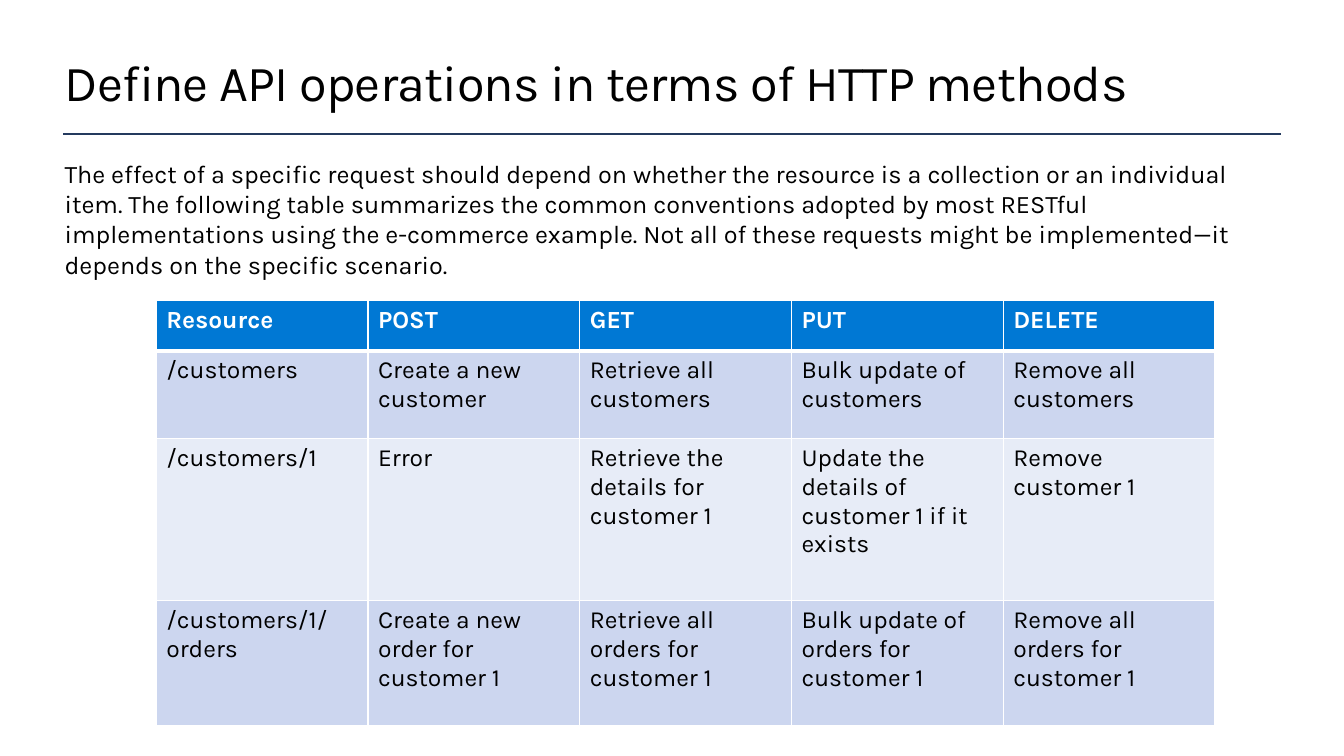
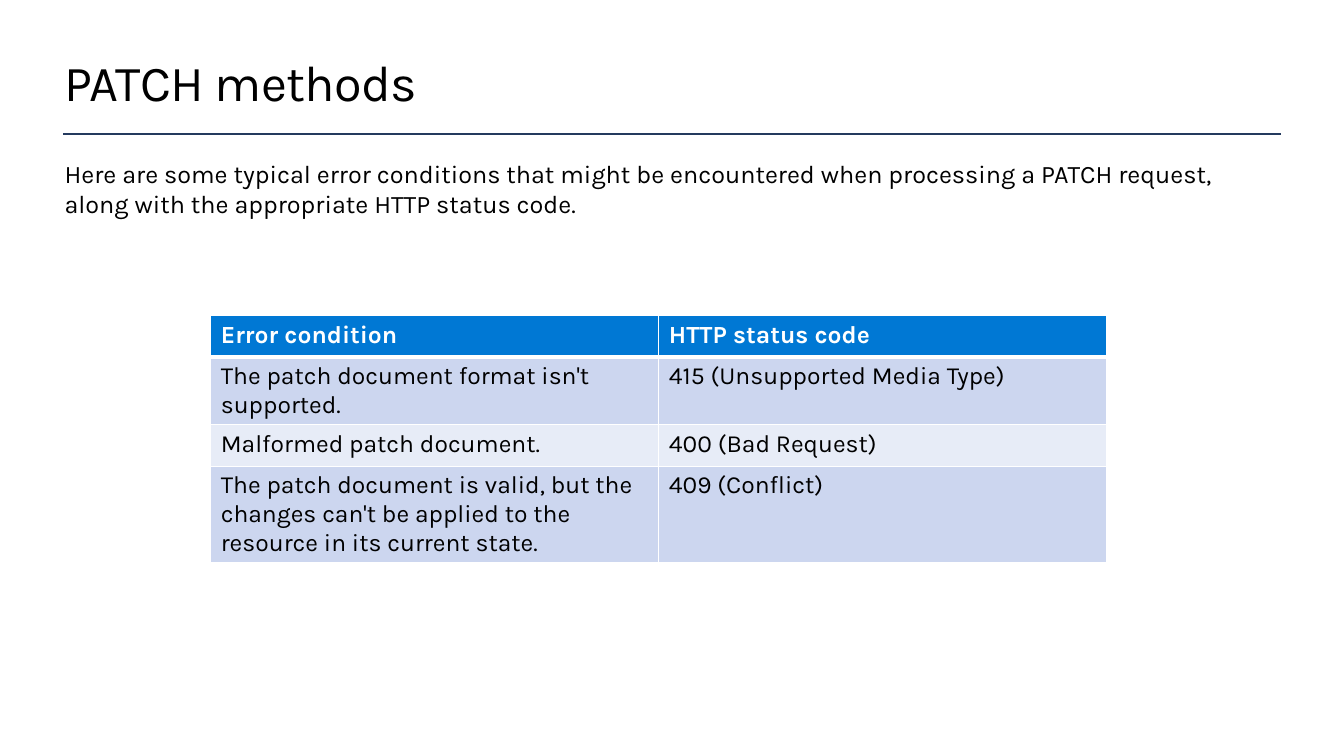
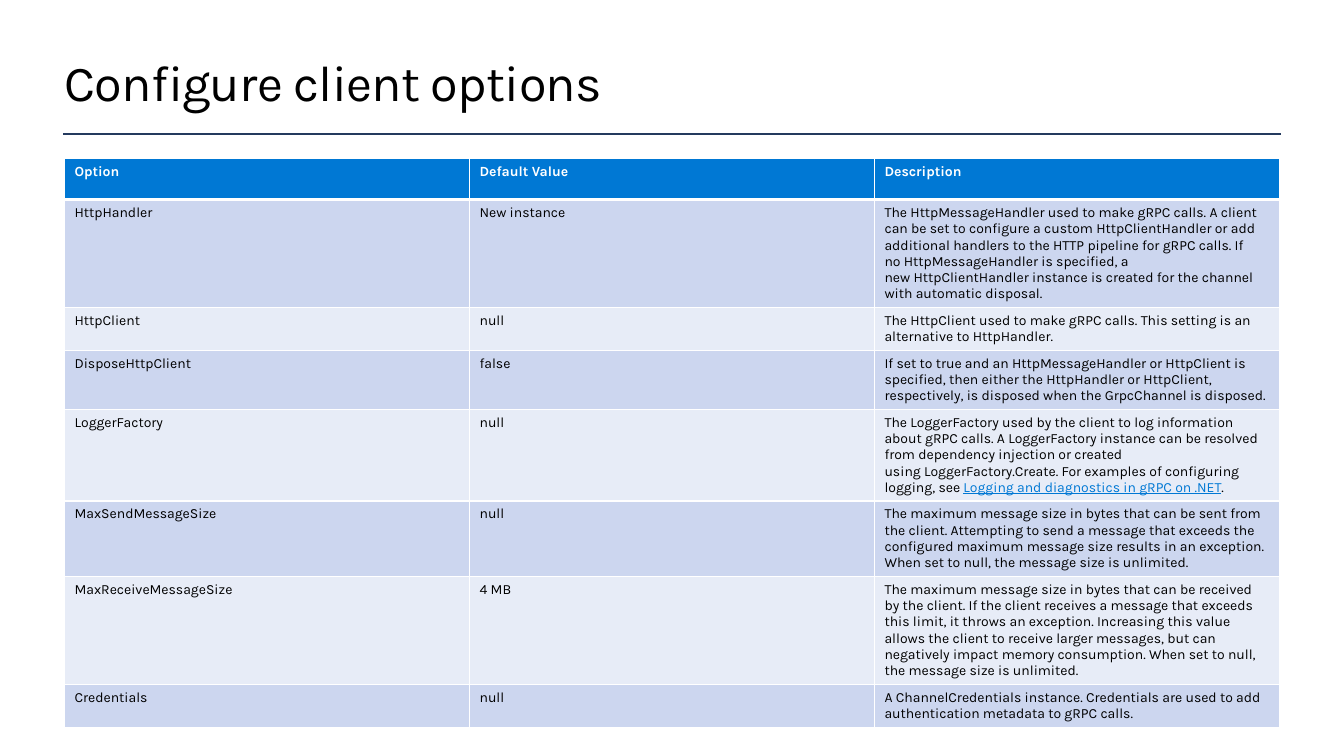
from dataclasses import dataclass

from lxml import etree
from pptx import Presentation
from pptx.dml.color import RGBColor
from pptx.enum.shapes import MSO_CONNECTOR
from pptx.enum.text import MSO_ANCHOR, MSO_AUTO_SIZE, PP_ALIGN
from pptx.oxml.ns import qn
from pptx.util import Inches, Pt

STRAIGHT = MSO_CONNECTOR.STRAIGHT
MIDDLE, TOP = MSO_ANCHOR.MIDDLE, MSO_ANCHOR.TOP
NO_AUTOFIT = MSO_AUTO_SIZE.NONE
LEFT = PP_ALIGN.LEFT
TITLE_ONLY = 5
TIE, NO_BREAK_SPACE = "~", chr(160)


@dataclass(frozen=True)
class Theme:
    font: str = "Karla"
    ink: str = "000000"
    paper: str = "FFFFFF"
    rule: str = "243A5E"
    accent: str = "0078D4"
    bands: tuple = ("CCD6EF", "E7ECF7")
    title_size: float = 36
    title_spacing: float = -0.5
    body_size: float = 18
    table_size: float = 17.6
    small_table_size: float = 10
    rule_width: float = 2
    grid_width: float = 1
    header_line_width: float = 3
    margin: float = 0.64
    content_width: float = 12.05
    content_top: float = 1.57


class Link(str):
    """Span of cell text in the link style."""


class SlideBuilder:
    def __init__(self, theme):
        self.theme = theme
        self.deck = Presentation()
        self.deck.slide_width = Inches(13.33)
        self.deck.slide_height = Inches(7.5)
        self.page = None

    def style(self, font, size, color, bold=False):
        font.name = self.theme.font
        font.size = Pt(size)
        font.bold = bold
        font.color.rgb = RGBColor.from_string(color)

    def frame(self, box, anchor):
        """Make the text frame of a box wrap, without insets or autofit."""
        frame = box.text_frame
        frame.margin_left = frame.margin_right = 0
        frame.margin_top = frame.margin_bottom = 0
        frame.word_wrap = True
        frame.auto_size = NO_AUTOFIT
        frame.vertical_anchor = anchor
        return frame

    def start(self, title):
        """Add a page with its title and the rule below it."""
        theme = self.theme
        self.page = self.deck.slides.add_slide(self.deck.slide_layouts[TITLE_ONLY])
        box = self.page.shapes.title
        box.left, box.top = Inches(theme.margin), Inches(0.5)
        box.width, box.height = Inches(theme.content_width), Inches(0.61)
        para = self.frame(box, MIDDLE).paragraphs[0]
        para.alignment = LEFT
        span = para.add_run()
        span.text = title
        span._r.get_or_add_rPr().set("spc", str(int(theme.title_spacing * 100)))
        self.style(para.font, theme.title_size, theme.ink)
        self.rule(1.33)

    def rule(self, top):
        """Draw a square-capped line across the content width."""
        theme = self.theme
        line = self.page.shapes.add_connector(
            STRAIGHT, Inches(theme.margin), Inches(top),
            Inches(theme.margin + theme.content_width), Inches(top))
        line.line.color.rgb = RGBColor.from_string(theme.rule)
        line.line.width = Pt(theme.rule_width)
        line.line._get_or_add_ln().set("cap", "sq")
        etree.SubElement(line._element.spPr, qn("a:effectLst"))

    def body(self, text, height):
        theme = self.theme
        box = self.page.shapes.add_textbox(
            Inches(theme.margin), Inches(theme.content_top),
            Inches(theme.content_width), Inches(height))
        para = self.frame(box, TOP).paragraphs[0]
        para.text = text
        self.style(para.font, theme.body_size, theme.ink)

    def table(self, rows, left, top, width, heights, size):
        columns = len(rows[0])
        table = self.page.shapes.add_table(
            len(rows), columns, Inches(left), Inches(top),
            Inches(width), Inches(sum(heights))).table
        for column in table.columns:
            column.width = Inches(width / columns)
        for index, (row, height) in enumerate(zip(rows, heights)):
            table.rows[index].height = Inches(height)
            for cell, content in zip(table.rows[index].cells, row):
                self.cell(cell, content, index, size)

    def cell(self, cell, content, row, size):
        """Fill one cell; a tilde in its text stands for a no-break space."""
        theme = self.theme
        is_header = row == 0
        thin, thick = theme.grid_width, theme.header_line_width
        self.borders(cell, {"L": thin, "R": thin,
                            "T": thick if row == 1 else thin,
                            "B": thick if is_header else thin})
        fill = theme.accent if is_header else theme.bands[(row - 1) % 2]
        cell.fill.solid()
        cell.fill.fore_color.rgb = RGBColor.from_string(fill)
        para = cell.text_frame.paragraphs[0]
        for text in [content] if isinstance(content, str) else content:
            span = para.add_run()
            span.text = text.replace(TIE, NO_BREAK_SPACE)
            if isinstance(text, Link):
                span.font.underline = True
                span.font.color.rgb = RGBColor.from_string(theme.accent)
        self.style(para.font, size, theme.paper if is_header else theme.ink, is_header)

    def borders(self, cell, widths):
        properties = cell._tc.get_or_add_tcPr()
        for side, width in widths.items():
            line = etree.SubElement(properties, qn(f"a:ln{side}"), w=str(Pt(width)))
            fill = etree.SubElement(line, qn("a:solidFill"))
            etree.SubElement(fill, qn("a:srgbClr"), val=self.theme.paper)


OPERATIONS = [
    ["Resource", "POST", "GET", "PUT", "DELETE"],
    ["/customers", "Create a new customer", "Retrieve all customers",
     "Bulk update of customers", "Remove all customers"],
    ["/customers/1", "Error", "Retrieve the details for customer 1",
     "Update the details of customer 1 if it exists", "Remove customer 1"],
    ["/customers/1/orders", "Create a new order for customer 1",
     "Retrieve all orders for customer 1", "Bulk update of orders for customer 1",
     "Remove all orders for customer 1"],
]

PATCH_ERRORS = [
    ["Error condition", "HTTP status code"],
    ["The patch document format isn't supported.", "415 (Unsupported Media Type)"],
    ["Malformed patch document.", "400 (Bad Request)"],
    ["The patch document is valid, but the changes can't be applied to the resource "
     "in its current state.", "409 (Conflict)"],
]

CLIENT_OPTIONS = [
    ["Option", "Default Value", "Description"],
    ["HttpHandler", "New instance",
     "The~HttpMessageHandler~used to make gRPC calls. A client can be set to configure "
     "a custom~HttpClientHandler~or add additional handlers to the HTTP pipeline for "
     "gRPC calls. If no~HttpMessageHandler~is specified, a new~HttpClientHandler~instance "
     "is created for the channel with automatic disposal."],
    ["HttpClient", "null",
     "The~HttpClient~used to make gRPC calls. This setting is an alternative to~"
     "HttpHandler."],
    ["DisposeHttpClient", "false",
     "If set to~true~and an~HttpMessageHandler~or~HttpClient~is specified, then either "
     "the~HttpHandler~or~HttpClient, respectively, is disposed when the~GrpcChannel~is "
     "disposed."],
    ["LoggerFactory", "null",
     ["The~LoggerFactory~used by the client to log information about gRPC calls. "
      "A~LoggerFactory~instance can be resolved from dependency injection or created "
      "using~LoggerFactory.Create. For examples of configuring logging, see~",
      Link("Logging and diagnostics in gRPC on .NET"), "."]],
    ["MaxSendMessageSize", "null",
     "The maximum message size in bytes that can be sent from the client. Attempting to "
     "send a message that exceeds the configured maximum message size results in an "
     "exception. When set to~null, the message size is unlimited."],
    ["MaxReceiveMessageSize", "4 MB",
     "The maximum message size in bytes that can be received by the client. If the client "
     "receives a message that exceeds this limit, it throws an exception. Increasing this "
     "value allows the client to receive larger messages, but can negatively impact memory "
     "consumption. When set to~null, the message size is unlimited."],
    ["Credentials", "null",
     "A~ChannelCredentials~instance. Credentials are used to add authentication metadata "
     "to gRPC calls."],
]


def main():
    theme = Theme()
    builder = SlideBuilder(theme)
    row_height = 0.41

    builder.start("Define API operations in terms of HTTP methods")
    builder.body(
        "The effect of a specific request should depend on whether the resource is a "
        "collection or an individual item. The following table summarizes the common "
        "conventions adopted by most RESTful implementations using the e-commerce example. "
        "Not all of these requests might be implemented—it depends on the specific "
        "scenario.", 1.21)
    builder.table(OPERATIONS, 1.55, 2.98, 10.5, [0.5, 0.87, 1.61, 1.24], theme.table_size)

    builder.start("PATCH methods")
    builder.body(
        "Here are some typical error conditions that might be encountered when processing "
        "a PATCH request, along with the appropriate HTTP status code.", 0.61)
    builder.table(PATCH_ERRORS, 2.09, 3.13, 8.89, [row_height] * len(PATCH_ERRORS),
                  theme.table_size)

    builder.start("Configure client options")
    builder.table(CLIENT_OPTIONS, theme.margin, theme.content_top, theme.content_width,
                  [row_height] * len(CLIENT_OPTIONS), theme.small_table_size)

    builder.deck.save("out.pptx")


if __name__ == "__main__":
    main()
